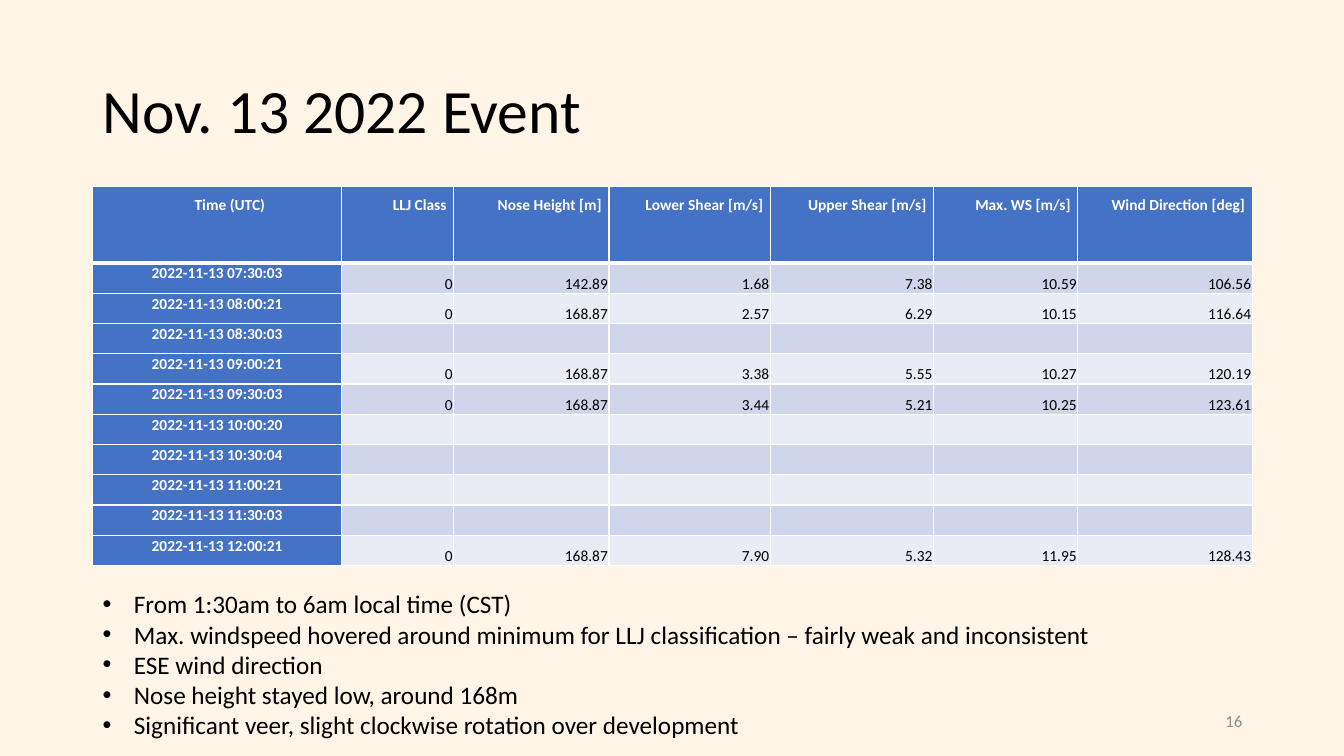
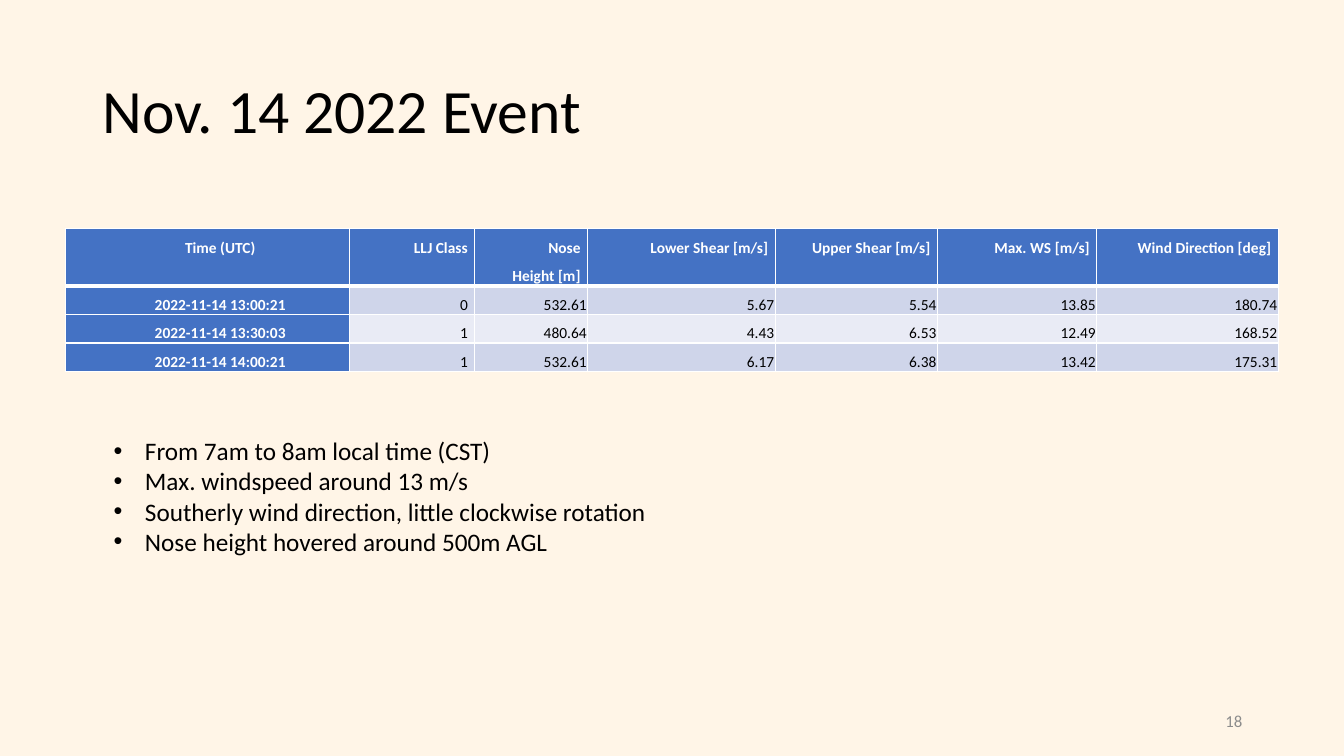
from lxml.etree import SubElement
from pptx import Presentation
from pptx.dml.color import RGBColor
from pptx.enum.text import MSO_ANCHOR, MSO_AUTO_SIZE, PP_ALIGN
from pptx.oxml.ns import qn
from pptx.util import Inches, Pt

# Shared style
FONT = "Calibri"
COLORS = {
    "page": "FFF5E7",
    "ink": "000000",
    "muted": "8C8C8C",
    "white": "FFFFFF",
    "header": "4472C4",
    "odd": "CFD5EA",
    "even": "E9EBF5",
}
TITLE_BOX = (0.92, 0.4, 11.5, 1.45)
NUMBER_BOX = (9.42, 6.95, 3, 0.4)
BULLET_INDENT = 0.31
HEADER_INDENT = 0.25
TABLE_TEXT_SIZE = 11

# Cell layouts: roomy for headers, tight for values
ROOMY = {"margin_left": Inches(0.07), "margin_right": Inches(0.07),
         "margin_top": 0, "margin_bottom": 0,
         "vertical_anchor": MSO_ANCHOR.TOP}
TIGHT = {"margin_left": Inches(0.01), "margin_right": Inches(0.01),
         "margin_top": Inches(0.01), "margin_bottom": 0,
         "vertical_anchor": MSO_ANCHOR.BOTTOM}
TIGHT_TOP = {**TIGHT, "vertical_anchor": MSO_ANCHOR.TOP}

# Content
HEADINGS = ["Time (UTC)", "LLJ Class", "Nose Height [m]", "Lower Shear [m/s]",
            "Upper Shear [m/s]", "Max. WS [m/s]", "Wind Direction [deg]"]
NO_VALUES = [""] * (len(HEADINGS) - 1)
EVENTS = [
    {
        "title": "Nov. 13 2022 Event",
        "number": "16",
        "table_at": (0.92, 1.85),
        "columns": [2.47, 1.11, 1.54, 1.6, 1.62, 1.43, 1.73],
        "header_height": 0.76,
        "row_height": 0.3,
        "roomy_columns": 0,
        "rows": [
            ["2022-11-13 07:30:03", "0", "142.89", "1.68", "7.38", "10.59", "106.56"],
            ["2022-11-13 08:00:21", "0", "168.87", "2.57", "6.29", "10.15", "116.64"],
            ["2022-11-13 08:30:03", *NO_VALUES],
            ["2022-11-13 09:00:21", "0", "168.87", "3.38", "5.55", "10.27", "120.19"],
            ["2022-11-13 09:30:03", "0", "168.87", "3.44", "5.21", "10.25", "123.61"],
            ["2022-11-13 10:00:20", *NO_VALUES],
            ["2022-11-13 10:30:04", *NO_VALUES],
            ["2022-11-13 11:00:21", *NO_VALUES],
            ["2022-11-13 11:30:03", *NO_VALUES],
            ["2022-11-13 12:00:21", "0", "168.87", "7.90", "5.32", "11.95", "128.43"],
        ],
        "bullets_box": (0.92, 5.79, 11.27, 1.62),
        "bullets": [
            "From 1:30am to 6am local time (CST)",
            "Max. windspeed hovered around minimum for LLJ classification – fairly weak and inconsistent",
            "ESE wind direction",
            "Nose height stayed low, around 168m",
            "Significant veer, slight clockwise rotation over development",
        ],
    },
    {
        "title": "Nov. 14 2022 Event",
        "number": "18",
        "table_at": (0.65, 2.27),
        "columns": [2.82, 1.24, 1.12, 1.86, 1.61, 1.58, 1.8],
        "header_height": 0.35,
        "row_height": 0.21,
        "roomy_columns": 2,
        "rows": [
            ["2022-11-14 13:00:21", "0", "532.61", "5.67", "5.54", "13.85", "180.74"],
            ["2022-11-14 13:30:03", "1", "480.64", "4.43", "6.53", "12.49", "168.52"],
            ["2022-11-14 14:00:21", "1", "532.61", "6.17", "6.38", "13.42", "175.31"],
        ],
        "bullets_box": (1.03, 4.27, 11.27, 1.31),
        "bullets": [
            "From 7am to 8am local time (CST)",
            "Max. windspeed around 13 m/s",
            "Southerly wind direction, little clockwise rotation",
            "Nose height hovered around 500m AGL",
        ],
    },
]


def set_all(target, values):
    for name, value in values.items():
        setattr(target, name, value)


def inches(lengths):
    return [Inches(length) for length in lengths]


def write(para, text, size, color, bold=False):
    span = para.add_run()
    span.text = text
    set_all(span.font, {"name": FONT, "size": Pt(size), "bold": bold})
    span.font.color.rgb = RGBColor.from_string(COLORS[color])


def add_title(page, text):
    title = page.shapes.title
    set_all(title, dict(zip(("left", "top", "width", "height"), inches(TITLE_BOX))))
    set_all(title.text_frame, {"vertical_anchor": MSO_ANCHOR.MIDDLE,
                               "word_wrap": True,
                               "auto_size": MSO_AUTO_SIZE.NONE})
    para = title.text_frame.paragraphs[0]
    set_all(para, {"alignment": PP_ALIGN.LEFT, "line_spacing": 0.9})
    write(para, text, 44, "ink")


def add_number(page, number):
    frame = page.shapes.add_textbox(*inches(NUMBER_BOX)).text_frame
    set_all(frame, {"word_wrap": True, "vertical_anchor": MSO_ANCHOR.MIDDLE})
    para = frame.paragraphs[0]
    para.alignment = PP_ALIGN.RIGHT
    write(para, number, 12, "muted")


def add_bullets(page, box, lines):
    frame = page.shapes.add_textbox(*inches(box)).text_frame
    set_all(frame, {"word_wrap": True, "auto_size": MSO_AUTO_SIZE.SHAPE_TO_FIT_TEXT})
    for index, line in enumerate(lines):
        para = frame.add_paragraph() if index else frame.paragraphs[0]
        properties = para._p.get_or_add_pPr()
        properties.set("marL", str(Inches(BULLET_INDENT)))
        properties.set("indent", str(-Inches(BULLET_INDENT)))
        SubElement(properties, qn("a:buFont"), typeface="Arial")
        SubElement(properties, qn("a:buChar"), char="•")
        write(para, line, 18, "ink")


def add_borders(cell, row_index):
    # The rule under the header row is thicker than the others
    widths = {"lnL": 1, "lnR": 1,
              "lnT": 3 if row_index == 1 else 1,
              "lnB": 3 if row_index == 0 else 1}
    properties = cell._tc.get_or_add_tcPr()
    for edge, width in widths.items():
        line = SubElement(properties, qn(f"a:{edge}"), w=str(Pt(width)))
        fill = SubElement(line, qn("a:solidFill"))
        SubElement(fill, qn("a:srgbClr"), val=COLORS["white"])


def fill_cell(cell, text, row_index, column_index, roomy_columns):
    is_header = row_index == 0 or column_index == 0
    is_roomy = row_index == 0 or column_index < roomy_columns
    band = "odd" if row_index % 2 else "even"

    add_borders(cell, row_index)
    cell.fill.solid()
    cell.fill.fore_color.rgb = RGBColor.from_string(COLORS["header" if is_header else band])
    set_all(cell, ROOMY if is_roomy else TIGHT if column_index else TIGHT_TOP)

    para = cell.text_frame.paragraphs[0]
    para.alignment = PP_ALIGN.RIGHT if column_index else PP_ALIGN.CENTER
    if is_roomy:
        para.line_spacing = 1.5
        para._p.get_or_add_pPr().set("indent", str(Inches(HEADER_INDENT)))
    if text:
        write(para, text, TABLE_TEXT_SIZE, "white" if is_header else "ink", is_header)
    else:
        # Keeps empty cells as low as the filled ones
        SubElement(para._p, qn("a:endParaRPr"), sz=str(TABLE_TEXT_SIZE * 100))


def add_event_table(page, event):
    rows = [HEADINGS, *event["rows"]]
    heights = [event["header_height"]] + [event["row_height"]] * len(event["rows"])
    size = (sum(event["columns"]), sum(heights))
    frame = page.shapes.add_table(len(rows), len(HEADINGS),
                                  *inches(event["table_at"] + size))
    table = frame.table
    set_all(table, {"first_row": False, "horz_banding": False})
    for column, width in zip(table.columns, event["columns"]):
        column.width = Inches(width)
    for row_index, (row, values) in enumerate(zip(table.rows, rows)):
        row.height = Inches(heights[row_index])
        for column_index, (cell, text) in enumerate(zip(row.cells, values)):
            fill_cell(cell, text, row_index, column_index, event["roomy_columns"])


def main():
    deck = Presentation()
    set_all(deck, {"slide_width": Inches(13.33), "slide_height": Inches(7.5)})
    background = deck.slide_master.background.fill
    background.solid()
    background.fore_color.rgb = RGBColor.from_string(COLORS["page"])
    title_only = deck.slide_layouts.get_by_name("Title Only")

    for event in EVENTS:
        page = deck.slides.add_slide(title_only)
        add_title(page, event["title"])
        add_event_table(page, event)
        add_bullets(page, event["bullets_box"], event["bullets"])
        add_number(page, event["number"])

    deck.save("out.pptx")


if __name__ == "__main__":
    main()
